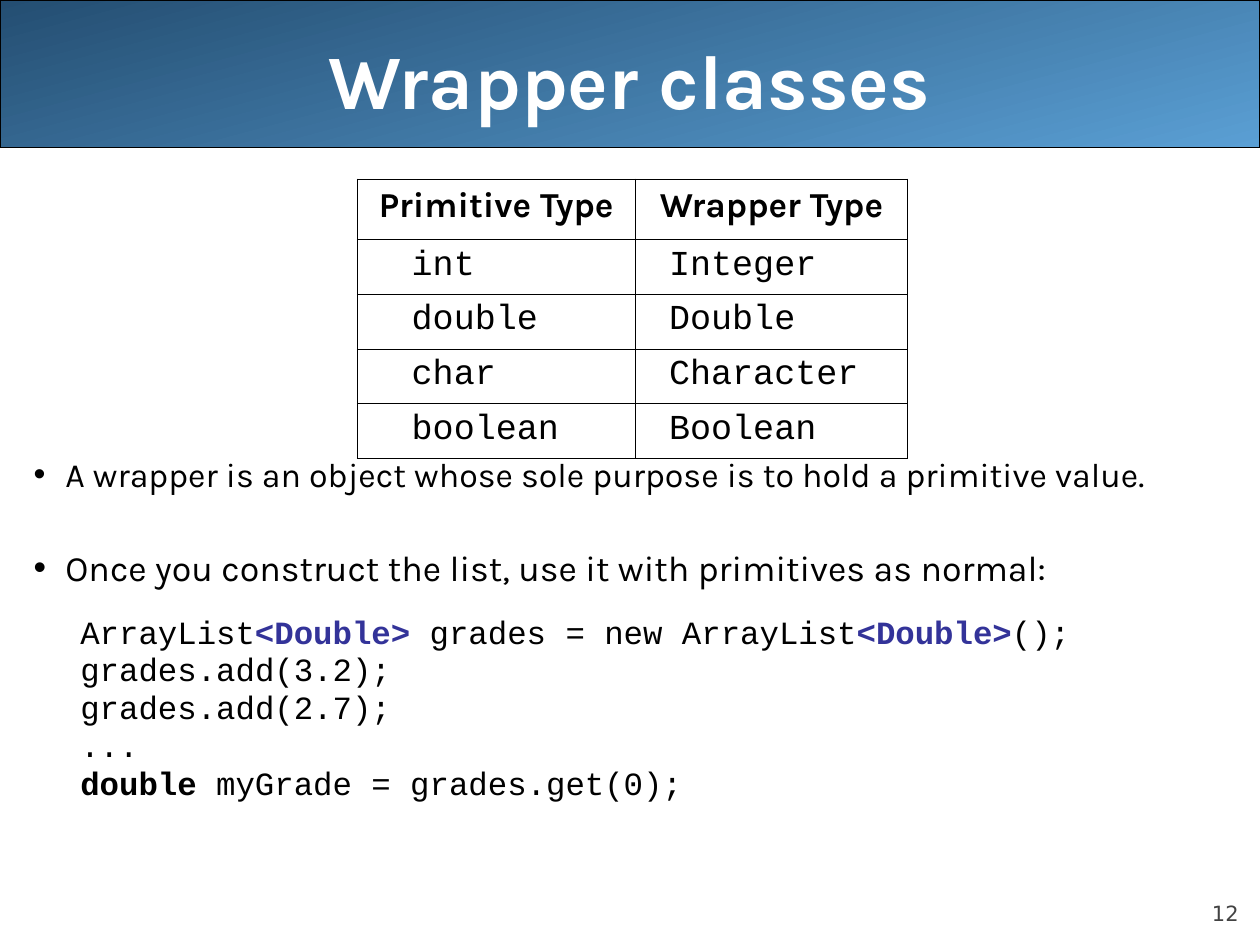
from lxml.etree import SubElement
from pptx import Presentation
from pptx.dml.color import RGBColor
from pptx.enum.shapes import MSO_SHAPE as Shape
from pptx.enum.text import MSO_ANCHOR as Anchor, PP_ALIGN as Align
from pptx.oxml.ns import qn
from pptx.util import Cm, Pt

BLACK = RGBColor(0x00, 0x00, 0x00)
WHITE = RGBColor(0xFF, 0xFF, 0xFF)
GRAY = RGBColor(0x42, 0x42, 0x42)
INDIGO = RGBColor(0x33, 0x33, 0x99)
BAND_DARK = RGBColor(0x24, 0x4E, 0x72)
BAND_LIGHT = RGBColor(0x5A, 0x9F, 0xD4)

PROSE = "Karla"
CODE = "Courier New"
ELEMENT_TYPE = ("<Double>", {"color": INDIGO, "bold": True})

TYPE_PAIRS = [
    ("Primitive Type", "Wrapper Type"),
    ("int", "Integer"),
    ("double", "Double"),
    ("char", "Character"),
    ("boolean", "Boolean"),
]
# Text, size and space before
BULLETS = [
    ("A wrapper is an object whose sole purpose is to hold a primitive value.", 19.4, 0),
    ("Once you construct the list, use it with primitives as normal:", 20.4, 29.5),
]
CODE_LINES = [
    [("ArrayList", {}), ELEMENT_TYPE, (" grades = new ArrayList", {}),
     ELEMENT_TYPE, ("();", {})],
    [("grades.add(3.2);", {})],
    [("grades.add(2.7);", {})],
    [("...", {})],
    [("double", {"bold": True}), (" myGrade = grades.get(0);", {})],
]


def apply(target, values):
    for attribute, value in values.items():
        setattr(target, attribute, value)


def add_run(paragraph, text, name, size, color=BLACK, bold=False):
    run = paragraph.add_run()
    run.text = text
    apply(run.font, {"name": name, "size": Pt(size), "bold": bold})
    run.font.color.rgb = color


def indent(paragraph, left, first):
    properties = paragraph._p.get_or_add_pPr()
    properties.set("marL", str(left))
    properties.set("indent", str(first))
    return properties


def add_text_frame(slide, left, top, width, height, **frame_format):
    box = slide.shapes.add_textbox(Cm(left), Cm(top), Cm(width), Cm(height))
    apply(box.text_frame, {"word_wrap": True, **frame_format})
    return box.text_frame


def add_title_band(slide):
    band = slide.shapes.add_shape(Shape.ROUNDED_RECTANGLE, 0, 0, Cm(25.4), Cm(2.97))
    band.adjustments[0] = 0
    band.shadow.inherit = False
    band.fill.gradient()
    band.fill.gradient_angle = 285
    for stop, color in zip(band.fill.gradient_stops, (BAND_DARK, BAND_LIGHT)):
        stop.color.rgb = color
    band.line.color.rgb = BLACK
    band.line.width = Pt(0.75)


def add_title(slide):
    frame = add_text_frame(slide, 1.27, 0, 22.86, 3.18, vertical_anchor=Anchor.MIDDLE)
    title = frame.paragraphs[0]
    title.alignment = Align.CENTER
    add_run(title, "Wrapper classes", PROSE, 44, WHITE, True)


def add_page_number(slide):
    frame = add_text_frame(slide, 22.86, 17.65, 2.11, 1.02, vertical_anchor=Anchor.BOTTOM,
                           margin_left=0, margin_top=0, margin_right=0, margin_bottom=0)
    number = frame.paragraphs[0]
    number.alignment = Align.RIGHT
    add_run(number, "12", "DejaVu Sans", 12, GRAY)


def add_body(slide):
    """Bullets and code; the top margin leaves room for the table."""
    frame = add_text_frame(slide, 0.43, 3.61, 24.97, 14.4, margin_top=Cm(5.54))
    paragraph = frame.paragraphs[0]
    for text, size, space in BULLETS:
        paragraph.space_before = Pt(space)
        properties = indent(paragraph, Cm(0.64), Cm(-0.64))
        SubElement(properties, qn("a:buFont"), typeface="Arial")
        SubElement(properties, qn("a:buChar"), char="•")
        add_run(paragraph, text, PROSE, size)
        paragraph = frame.add_paragraph()

    for position, pieces in enumerate(CODE_LINES):
        if position:
            paragraph = frame.add_paragraph()
        apply(paragraph, {"level": 1, "line_spacing": 0.7,
                          "space_before": Pt(6 if position else 19)})
        indent(paragraph, Cm(1.73), Cm(-0.79))
        for text, emphasis in pieces:
            add_run(paragraph, text, CODE, 18.5, **emphasis)


def outline_cell(cell):
    properties = cell._tc.get_or_add_tcPr()
    for position, side in enumerate(("a:lnL", "a:lnR", "a:lnT", "a:lnB")):
        border = properties.makeelement(qn(side), {"w": str(Pt(0.45))})
        fill = SubElement(border, qn("a:solidFill"))
        SubElement(fill, qn("a:srgbClr"), val=str(BLACK))
        properties.insert(position, border)


def add_type_table(slide):
    table = slide.shapes.add_table(len(TYPE_PAIRS), 2, Cm(7.2), Cm(3.61),
                                   Cm(11.1), Cm(5.5)).table
    apply(table, {"first_row": False, "horz_banding": False})
    for column, width in zip(table.columns, (5.61, 5.49)):
        column.width = Cm(width)
    for row_index, pair in enumerate(TYPE_PAIRS):
        header = row_index == 0
        table.rows[row_index].height = Cm(1.22 if header else 1.07)
        for cell, text, code_margin in zip(table.rows[row_index].cells, pair, (1.1, 0.68)):
            cell.fill.background()
            outline_cell(cell)
            paragraph = cell.text_frame.paragraphs[0]
            if header:
                paragraph.alignment = Align.CENTER
            else:
                cell.margin_left = Cm(code_margin)
            add_run(paragraph, text, PROSE if header else CODE, 20, bold=header)


def main():
    deck = Presentation()
    apply(deck, {"slide_width": Cm(25.4), "slide_height": Cm(19.05)})
    slide = deck.slides.add_slide(deck.slide_layouts[6])
    add_title_band(slide)
    add_page_number(slide)
    add_title(slide)
    add_body(slide)
    add_type_table(slide)
    deck.save("out.pptx")


if __name__ == "__main__":
    main()
